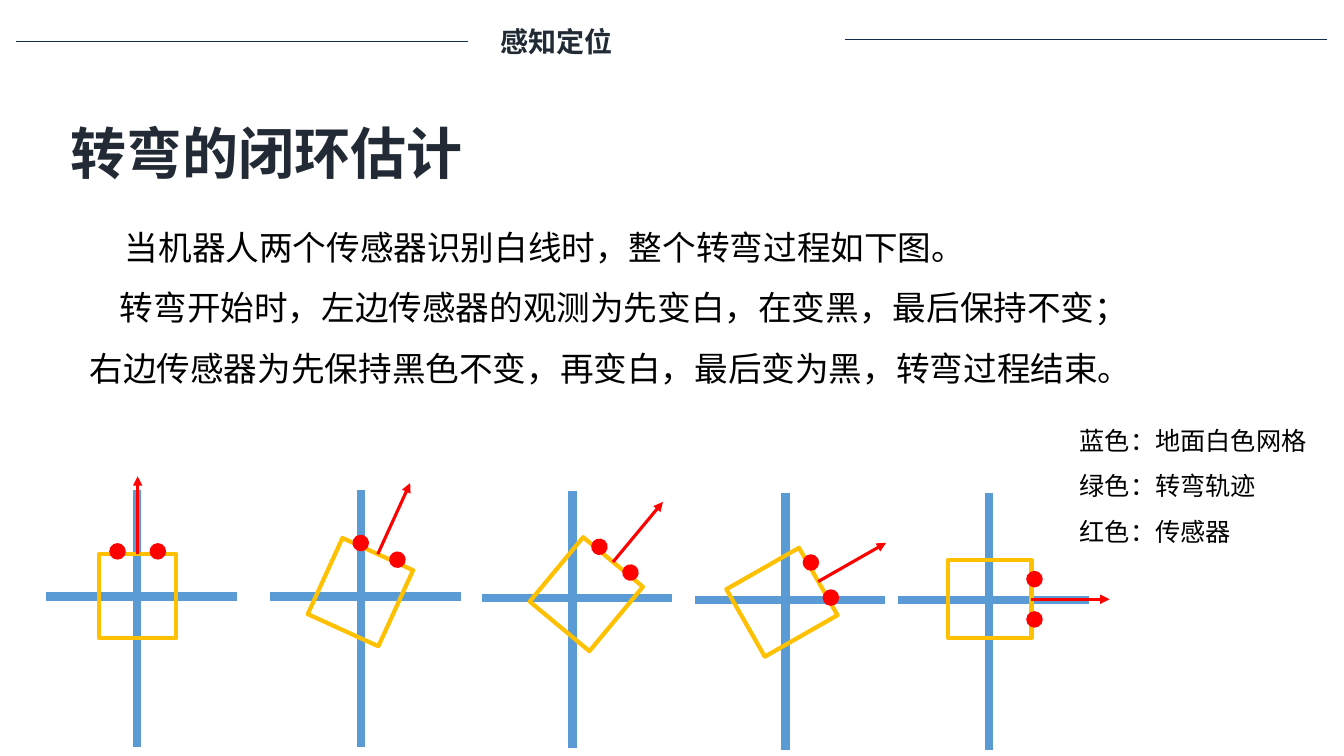
from math import cos, radians, sin

from lxml import etree
from pptx import Presentation
from pptx import util as u
from pptx.dml.color import RGBColor
from pptx.enum import shapes, text
from pptx.oxml.ns import qn

NAVY = RGBColor(0x13, 0x2E, 0x4A)
SLATE = RGBColor(0x22, 0x2A, 0x35)
BLACK = RGBColor(0x00, 0x00, 0x00)
BLUE = RGBColor(0x5B, 0x9B, 0xD5)
AMBER = RGBColor(0xFF, 0xC0, 0x00)
RED = RGBColor(0xFF, 0x00, 0x00)

# Robot measures in grid cells, facing up, with the centre at (0, 0)
ROBOT_WIDTH, ROBOT_HEIGHT = 7.7, 8.3
SENSOR_SIZE = 1.5
SENSORS = ((-2, -4.45), (2, -4.45))
ARROW_START, ARROW_END = -4.15, -11.9

# Crossing point, robot centre, heading in degrees
TURN_STEPS = (
    ((13.6, 59.2), (13.65, 59.15), 0),
    ((35.8, 59.2), (35.75, 58.75), 24.5),
    ((56.8, 59.3), (58.15, 58.95), 39.7),
    ((77.9, 59.5), (77.55, 59.75), 60.3),
    ((98.1, 59.5), (98.15, 59.45), 90),
)


def turned(point, centre, angle):
    """Turn a robot point clockwise and place it around the centre."""
    x, y = point
    c, s = cos(radians(angle)), sin(radians(angle))
    return centre[0] + x * c - y * s, centre[1] + x * s + y * c


class SlideBuilder:
    """Draws on a grid of square cells, 75 rows high."""

    font_name = "Noto Sans CJK SC"

    def __init__(self, presentation):
        self.slide = presentation.slides.add_slide(presentation.slide_layouts[6])
        self.cell = presentation.slide_height / 75

    def cells(self, *counts):
        return [u.Emu(round(count * self.cell)) for count in counts]

    def text_box(self, area, lines, size, color=BLACK, bold=False,
                 spacing=1.5, inset=(1, 0.5), margin=0, indents=None):
        box = self.slide.shapes.add_textbox(*self.cells(*area))
        frame = box.text_frame
        frame.word_wrap = True
        side, edge = self.cells(*inset)
        frame.margin_left = frame.margin_right = side
        frame.margin_top = frame.margin_bottom = edge
        for index, line in enumerate(lines):
            paragraph = frame.paragraphs[0] if index == 0 else frame.add_paragraph()
            paragraph.line_spacing = spacing
            if indents:
                left, first = self.cells(margin, indents[index])
                properties = paragraph._p.get_or_add_pPr()
                properties.set("marL", str(left))
                properties.set("indent", str(first))
            run = paragraph.add_run()
            run.text = line
            font = run.font
            font.name, font.size, font.bold = self.font_name, u.Pt(size), bold
            font.color.rgb = color
            east_asian = etree.SubElement(run._r.get_or_add_rPr(), qn("a:ea"))
            east_asian.set("typeface", self.font_name)
        return box

    def line(self, start, end, color, width, arrow=False):
        connector = self.slide.shapes.add_connector(
            shapes.MSO_CONNECTOR.STRAIGHT, *self.cells(*start, *end))
        connector.line.color.rgb = color
        connector.line.width = u.Pt(width)
        if arrow:
            etree.SubElement(connector.line._get_or_add_ln(),
                             qn("a:tailEnd")).set("type", "triangle")
        etree.SubElement(connector._element.spPr, qn("a:effectLst"))
        return connector

    def shape(self, kind, centre, size, angle, color, width, filled=False):
        left, top = centre[0] - size[0] / 2, centre[1] - size[1] / 2
        shape = self.slide.shapes.add_shape(kind, *self.cells(left, top, *size))
        shape.rotation = angle
        shape.shadow.inherit = False
        if filled:
            shape.fill.solid()
            shape.fill.fore_color.rgb = color
        else:
            shape.fill.background()
        shape.line.color.rgb = color
        shape.line.width = u.Pt(width)
        return shape

    def crossing(self, x, y):
        self.line((x, y - 10.6), (x, y + 14.9), BLUE, 6)
        self.line((x + 9.9, y), (x - 9, y), BLUE, 6)

    def robot(self, centre, angle):
        body = self.shape(shapes.MSO_SHAPE.RECTANGLE, centre,
                          (ROBOT_WIDTH, ROBOT_HEIGHT), angle, AMBER, 3)
        for sensor in SENSORS:
            self.shape(shapes.MSO_SHAPE.OVAL, turned(sensor, centre, angle),
                       (SENSOR_SIZE, SENSOR_SIZE), angle, RED, 1, filled=True)
        start = turned((0, ARROW_START), centre, angle)
        end = turned((0, ARROW_END), centre, angle)
        heading = self.line(start, end, RED, 2.25, arrow=True)
        heading.begin_connect(body, 0)
        # begin_connect ignores rotation, so put the start back on the turned side
        heading.begin_x, heading.begin_y = self.cells(*start)


def main():
    presentation = Presentation()
    presentation.slide_width = u.Inches(13.33)
    presentation.slide_height = u.Inches(7.5)
    builder = SlideBuilder(presentation)

    header = builder.text_box((49.6, 2.4, 30.1, 3.4), ["感知定位"], 20, SLATE,
                              bold=True, spacing=1, inset=(0, 0))
    header.text_frame.vertical_anchor = text.MSO_ANCHOR.MIDDLE
    builder.line((1.6, 4.1), (46.4, 4.1), NAVY, 1)
    builder.line((83.8, 3.9), (131.6, 3.9), NAVY, 1)

    builder.text_box((6, 7.9, 94.7, 9.9), ["转弯的闭环估计"], 40, SLATE, bold=True)
    builder.text_box((2.9, 20, 108.4, 18.7), [
        "当机器人两个传感器识别白线时，整个转弯过程如下图。",
        "转弯开始时，左边传感器的观测为先变白，在变黑，最后保持不变；"
        "右边传感器为先保持黑色不变，再变白，最后变为黑，转弯过程结束。",
    ], 24, margin=5, indents=(3.5, 3))
    builder.text_box((106.1, 40.2, 27.5, 14.1), [
        "蓝色：地面白色网格", "绿色：转弯轨迹", "红色：传感器"], 18)

    for crossing, centre, angle in TURN_STEPS:
        builder.crossing(*crossing)
        builder.robot(centre, angle)

    presentation.save("out.pptx")


if __name__ == "__main__":
    main()
